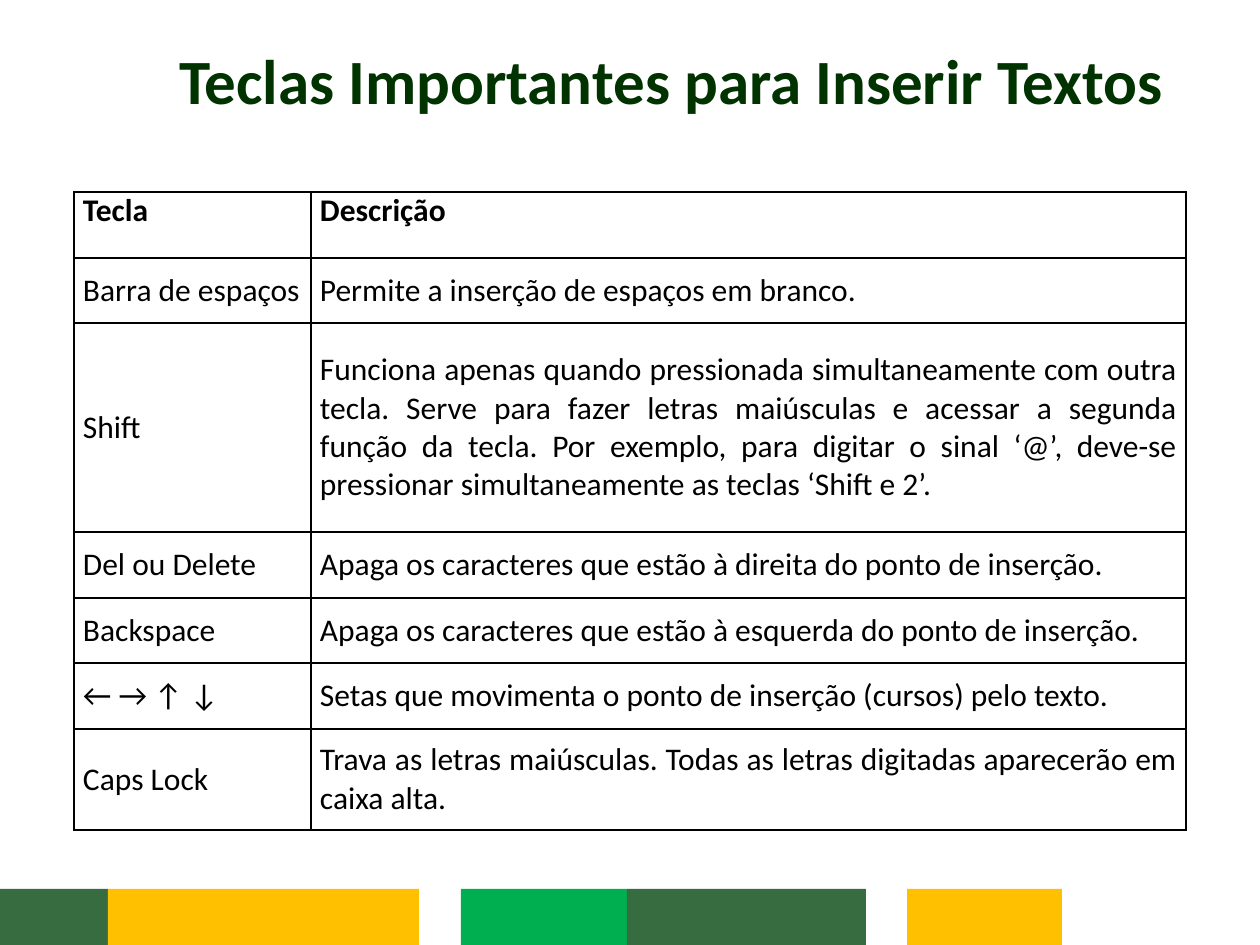
from lxml import etree
from pptx import Presentation
from pptx import util as u
from pptx.dml.color import RGBColor
from pptx.enum import shapes, text
from pptx.oxml.ns import qn

PX = 914400 / 126
FONT = "Calibri"
COLORS = {
    "white": "FFFFFF",
    "black": "000000",
    "title": "003300",
    "moss": "376C41",
    "gold": "FFC000",
    "green": "00B050",
}
KEYS = [
    ("Tecla", "Descrição"),
    ("Barra de espaços", "Permite a inserção de espaços em branco."),
    ("Shift", "Funciona apenas quando pressionada simultaneamente com outra tecla. "
              "Serve para fazer letras maiúsculas e acessar a segunda função da tecla. "
              "Por exemplo, para digitar o sinal ‘@’, deve-se pressionar "
              "simultaneamente as teclas ‘Shift e 2’."),
    ("Del ou Delete", "Apaga os caracteres que estão à direita do ponto de inserção."),
    ("Backspace", "Apaga os caracteres que estão à esquerda do ponto de inserção."),
    ("← → ↑ ↓", "Setas que movimenta o ponto de inserção (cursos) pelo texto."),
    ("Caps Lock", "Trava as letras maiúsculas. Todas as letras digitadas "
                  "aparecerão em caixa alta."),
]
COLUMN_WIDTHS = [237, 875]
ROW_HEIGHTS = [66, 65, 209, 66, 65, 66, 101]
# Offset and width of each block in the footer strip
STRIP = [
    (0, 108, "moss"),
    (108, 311, "gold"),
    (461, 166, "green"),
    (627, 239, "moss"),
    (907, 155, "gold"),
]


def emu(px):
    return u.Emu(round(px * PX))


def rgb(name):
    return RGBColor.from_string(COLORS[name])


def style(paragraph, size, color, bold):
    for run in paragraph.runs:
        run.font.name = FONT
        run.font.size = u.Pt(size)
        run.font.bold = bold
        run.font.color.rgb = rgb(color)


def add_block(slide, left, top, width, height, color):
    block = slide.shapes.add_shape(
        shapes.MSO_SHAPE.RECTANGLE, *map(emu, (left, top, width, height)))
    block.shadow.inherit = False
    block.fill.solid()
    block.fill.fore_color.rgb = rgb(color)
    block.line.fill.background()


def add_footer(slide, left, top, width, height):
    """White band with a strip of coloured blocks along its lower edge."""
    strip_height = 56
    add_block(slide, left, top, width, height, "white")
    for offset, block_width, color in STRIP:
        add_block(slide, left + offset, top + height - strip_height,
                  block_width, strip_height, color)


def add_title(slide, left, top, width, height):
    title = slide.shapes.add_textbox(*map(emu, (left, top, width, height)))
    frame = title.text_frame
    frame.word_wrap = True
    frame.vertical_anchor = text.MSO_ANCHOR.MIDDLE
    frame.text = "Teclas Importantes para Inserir Textos"
    frame.paragraphs[0].alignment = text.PP_ALIGN.RIGHT
    style(frame.paragraphs[0], 36, "title", True)


def set_borders(cell):
    properties = cell._tc.get_or_add_tcPr()
    for position, side in enumerate(("a:lnL", "a:lnR", "a:lnT", "a:lnB")):
        border = etree.Element(qn(side), w=str(u.Pt(1)))
        fill = etree.SubElement(border, qn("a:solidFill"))
        etree.SubElement(fill, qn("a:srgbClr"), val=COLORS["black"])
        properties.insert(position, border)


def add_key_table(slide, left, top):
    box = (left, top, sum(COLUMN_WIDTHS), sum(ROW_HEIGHTS))
    table = slide.shapes.add_table(
        len(KEYS), len(COLUMN_WIDTHS), *map(emu, box)).table
    table.first_row = table.horz_banding = False
    for column, width in zip(table.columns, COLUMN_WIDTHS):
        column.width = emu(width)
    for row, height in zip(table.rows, ROW_HEIGHTS):
        row.height = emu(height)
    for r, entry in enumerate(KEYS):
        for c, wording in enumerate(entry):
            cell = table.cell(r, c)
            cell.text = wording
            cell.margin_left = cell.margin_right = emu(9)
            cell.margin_top = cell.margin_bottom = 0
            cell.fill.background()
            set_borders(cell)
            paragraph = cell.text_frame.paragraphs[0]
            style(paragraph, 18, "black", r == 0)
            if r > 0:
                cell.vertical_anchor = text.MSO_ANCHOR.MIDDLE
            if r > 1 and c == 1:
                paragraph.alignment = text.PP_ALIGN.JUSTIFY


def main():
    deck = Presentation()
    deck.slide_width, deck.slide_height = emu(1260), emu(945)
    slide = deck.slides.add_slide(deck.slide_layouts[6])
    add_footer(slide, 0, 829, 1260, 116)
    add_title(slide, 42, 0, 1134, 158)
    add_key_table(slide, 74, 192)
    deck.save("out.pptx")


if __name__ == "__main__":
    main()
